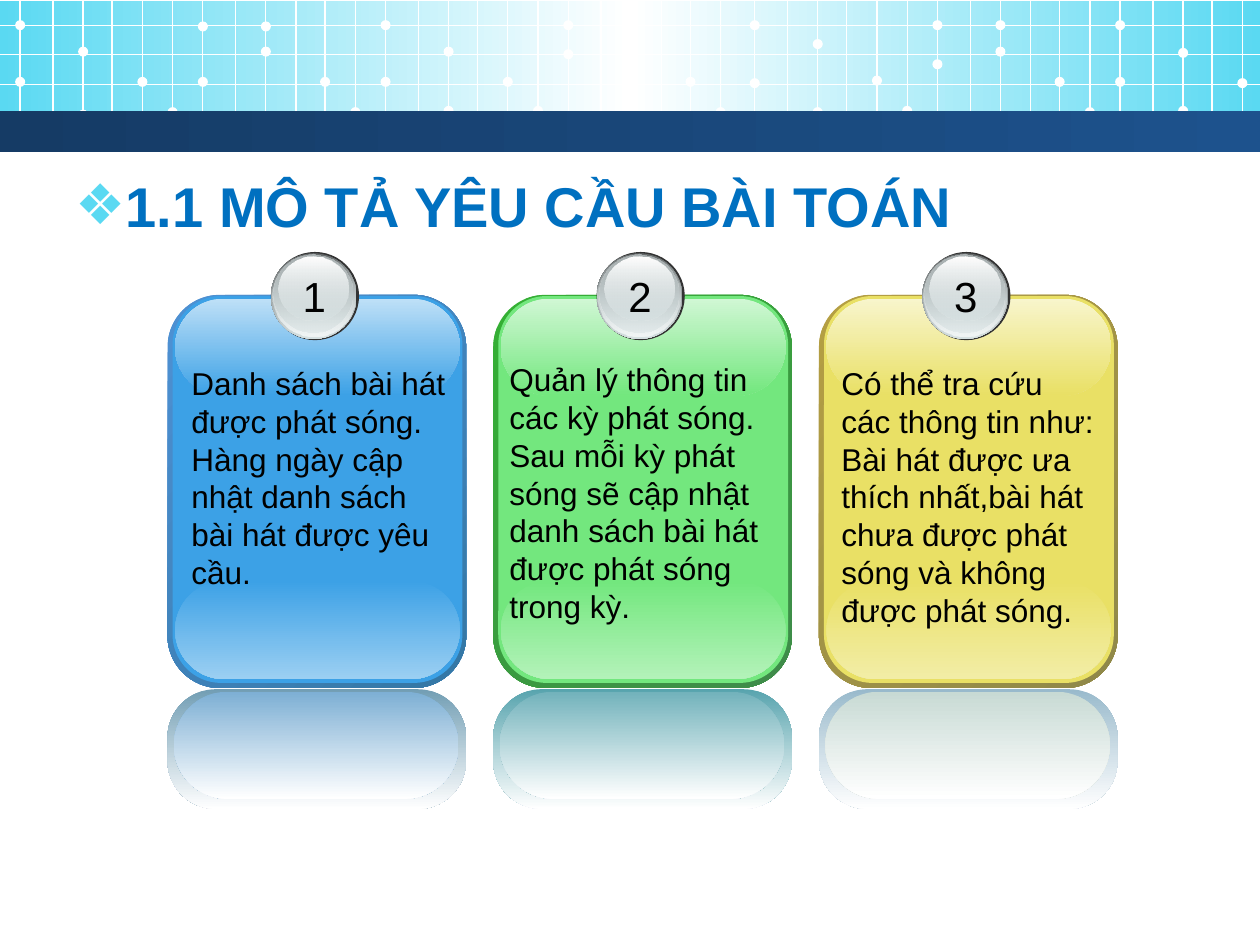
import pptx
import pptx.util
import pptx.oxml
import pptx.oxml.ns
from pptx.dml.color import RGBColor
from pptx.enum.shapes import MSO_CONNECTOR, MSO_SHAPE
from pptx.enum.text import MSO_AUTO_SIZE, PP_ALIGN

WHITE = RGBColor(0xFF, 0xFF, 0xFF)
BLACK = RGBColor(0, 0, 0)
CYAN = RGBColor(0x5A, 0xD9, 0xF2)
TITLE_BLUE = RGBColor(0x00, 0x70, 0xC0)
NAVY = RGBColor(0x15, 0x3B, 0x65)
ROYAL = RGBColor(0x1D, 0x52, 0x8D)
RIM = RGBColor(0x33, 0x33, 0x33)
STEEL = RGBColor(0x63, 0x68, 0x69)
GREY = RGBColor(0xAA, 0xB2, 0xB3)
SILVER = RGBColor(0xD6, 0xE1, 0xE2)
PALE = RGBColor(0xF1, 0xF5, 0xF5)

TITLE = "1.1 MÔ TẢ YÊU CẦU BÀI TOÁN"
CARDS = [
    dict(
        text=["Danh sách bài hát được phát sóng.",
              "Hàng ngày cập nhật danh sách bài hát được yêu cầu."],
        text_at=(0.09, 2.84, 1.92),
        edge=("4E91D4", "3477A4"), face="3CA1E6", low="9BCFF2", high="BEE0F7",
        mirror=("729EB4", "7DAFD4")),
    dict(
        text=["Quản lý thông tin các kỳ phát sóng.",
              "Sau mỗi kỳ phát sóng sẽ cập nhật danh sách bài hát được phát sóng trong kỳ."],
        text_at=(0.03, 2.81, 2.22),
        edge=("34B034", "3F8B4A"), face="73E77E", low="B3F2B9", high="D0F7D4",
        mirror=("58A4AE", "72B2BB")),
    dict(
        text=["Có thể tra cứu các thông tin như:",
              "Bài hát được ưa thích nhất,bài hát chưa được phát sóng và không được phát sóng."],
        text_at=(0.08, 2.84, 2.22),
        edge=("B59F43", "8F8849"), face="E9E065", low="F2EDA6", high="F8F5CC",
        mirror=("99BACC", "C8DAD4")),
]
CARD_LEFT, CARD_STEP = 1.33, 2.585

# Badge discs: offset from card, top, width, height, stops (colour, opacity)
DISCS = [
    (0.82, 2.0, 0.7, 0.7, [(RIM, 100)]),
    (0.82, 2.01, 0.68, 0.68, [(STEEL, 100), (SILVER, 100)]),
    (0.83, 2.01, 0.66, 0.66, [(SILVER, 0), (PALE, 100)]),
    (0.84, 2.02, 0.63, 0.62, [(GREY, 100), (SILVER, 48)]),
    (0.88, 2.04, 0.56, 0.5, [(WHITE, 100), (SILVER, 38)]),
]

# Banner mesh: the same twelve columns repeat in each tile
TILES = [0.16, 3.06, 5.99, 8.89]
COLUMNS = [0, 0.26, 0.5, 0.73, 0.97, 1.21, 1.45, 1.71, 1.95, 2.19, 2.42, 2.66]
ROWS = [0.2, 0.43, 0.67, 0.89]
DOT_COLUMNS = [0, 2, 4, 5, 6, 8, 10, 11]
DOT_ROWS = [  # heights of the dots on each dot column, tile by tile
    [(0.2, 0.65), (0.41, 0.91), (0.65,), (0.89,), (0.21, 0.65), (0.21, 0.41), (0.65,), (0.89,)],
    [(0.2, 0.65), (0.41, 0.88), (0.65,), (0.88,), (0.2, 0.43), (0.2, 0.42), (0.65,), (0.89,)],
    [(0.2, 0.66), (0.35, 0.89), (0.64,), (0.88,), (0.2, 0.51), (0.2, 0.41), (0.65,), (0.89,)],
    [(0.2, 0.65), (0.2 + 0.22, 0.88), (0.66,)],
]
DOT = 0.08


def inches(*values):
    return [pptx.util.Inches(v) for v in values]


def add_shape(shapes, kind, at, stops, angle=90, adj=None):
    """Add a borderless shape; stops are (colour, opacity %) spread evenly."""
    sp = shapes.add_shape(kind, *inches(*at))
    sp.shadow.inherit = False
    sp.line.fill.background()
    if adj is not None:
        sp.adjustments[0] = adj
    if len(stops) == 1:
        sp.fill.solid()
        sp.fill.fore_color.rgb = stops[0][0]
        return sp
    marks = "".join(
        f'<a:gs pos="{100000 * i // (len(stops) - 1)}"><a:srgbClr val="{color}">'
        f'<a:alpha val="{opacity * 1000}"/></a:srgbClr></a:gs>'
        for i, (color, opacity) in enumerate(stops))
    fill = pptx.oxml.parse_xml(
        f'<a:gradFill {pptx.oxml.ns.nsdecls("a")} rotWithShape="1"><a:gsLst>{marks}</a:gsLst>'
        f'<a:lin ang="{angle * 60000}" scaled="0"/></a:gradFill>')
    sp._element.spPr.find(pptx.oxml.ns.qn("a:prstGeom")).addnext(fill)
    return sp


def opaque(*colors):
    return [(RGBColor.from_string(str(c)), 100) for c in colors]


def add_line(shapes, *ends):
    line = shapes.add_connector(MSO_CONNECTOR.STRAIGHT, *inches(*ends))
    line.line.color.rgb = WHITE
    line.line.width = pptx.util.Pt(0.75)
    line._element.spPr.append(
        pptx.oxml.parse_xml(f'<a:effectLst {pptx.oxml.ns.nsdecls("a")}/>'))


def write(tf, lines, size, color=BLACK, bold=False, align=None):
    for i, text in enumerate(lines):
        p = tf.paragraphs[0] if i == 0 else tf.add_paragraph()
        p.alignment = align
        r = p.add_run()
        r.text = text
        r.font.name = "Arial"
        r.font.size = pptx.util.Pt(size)
        r.font.bold = bold
        r.font.color.rgb = color


def add_text(shapes, at, lines, size, wrap=True, **fmt):
    tf = shapes.add_textbox(*inches(*at)).text_frame
    tf.word_wrap = wrap
    tf.auto_size = MSO_AUTO_SIZE.SHAPE_TO_FIT_TEXT
    write(tf, lines, size, **fmt)


def add_banner(slide):
    add_shape(slide.shapes, MSO_SHAPE.RECTANGLE, (0, 0.01, 10, 1.02),
              opaque(CYAN, WHITE, CYAN), angle=0)
    mesh = slide.shapes.add_group_shape().shapes
    for left, dots in zip(TILES, DOT_ROWS):
        for x in (left + c for c in COLUMNS if left + c < 10):
            add_line(mesh, x, 0, x, 1.1)
        for column, heights in zip(DOT_COLUMNS, dots):
            for y in heights:
                add_shape(mesh, MSO_SHAPE.OVAL,
                          (left + COLUMNS[column] - DOT / 2, y - DOT / 2, DOT, DOT),
                          opaque(WHITE))
    for y in ROWS:
        add_line(mesh, 0, y, 10, y)
    add_shape(slide.shapes, MSO_SHAPE.RECTANGLE, (0, 0.88, 10, 0.33),
              opaque(NAVY, ROYAL), angle=0)


def add_title(slide):
    slide.shapes.title._element.getparent().remove(slide.shapes.title._element)
    body = slide.placeholders[1]
    body.left, body.top, body.width, body.height = inches(0.5, 1.31, 9, 5.61)
    write(body.text_frame, [TITLE], 32, color=TITLE_BLUE, bold=True)
    pPr = body.text_frame.paragraphs[0]._p.get_or_add_pPr()
    pPr.set("marL", str(pptx.util.Inches(0.38)))
    pPr.set("indent", str(pptx.util.Inches(-0.38)))
    ns = pptx.oxml.ns.nsdecls("a")
    for xml in (f'<a:buClr {ns}><a:srgbClr val="{CYAN}"/></a:buClr>',
                f'<a:buChar {ns} char="❖"/>'):
        pPr.append(pptx.oxml.parse_xml(xml))


def add_card(slide, number, card):
    x = CARD_LEFT + (number - 1) * CARD_STEP
    shapes = slide.shapes.add_group_shape().shapes
    face = card["face"]
    layers = [  # offset, top, width, height, corner, colours, angle
        (0, 2.34, 2.37, 3.12, 0.175, card["edge"], 45),
        (0.04, 2.35, 2.3, 3.07, 0.167, (face,), 90),
        (0.06, 4.61, 2.26, 0.78, 0.5, (face, card["low"]), 90),
        (0.06, 2.37, 2.26, 0.77, 0.5, (card["high"], face), 90),
        (0, 5.47, 2.37, 0.95, 0.404, (card["mirror"][0], WHITE), 90),
        (0.05, 5.49, 2.26, 0.85, 0.5, (card["mirror"][1], WHITE), 90),
    ]
    for dx, top, width, height, corner, colors, angle in layers:
        add_shape(shapes, MSO_SHAPE.ROUNDED_RECTANGLE, (x + dx, top, width, height),
                  opaque(*colors), angle, corner)
    for dx, top, width, height, stops in DISCS:
        add_shape(shapes, MSO_SHAPE.OVAL, (x + dx, top, width, height), stops)
    add_text(shapes, (x + 0.97, 2.1, 0.39, 0.5), [str(number)], 24,
             wrap=False, align=PP_ALIGN.CENTER)
    dx, top, height = card["text_at"]
    add_text(shapes, (x + dx, top, 2.25, height), card["text"], 18)


def main():
    prs = pptx.Presentation()
    prs.slide_width, prs.slide_height = inches(10, 7.5)
    slide = prs.slides.add_slide(prs.slide_layouts[1])
    add_banner(slide)
    add_title(slide)
    for number, card in enumerate(CARDS, 1):
        add_card(slide, number, card)
    prs.save("out.pptx")


if __name__ == "__main__":
    main()
